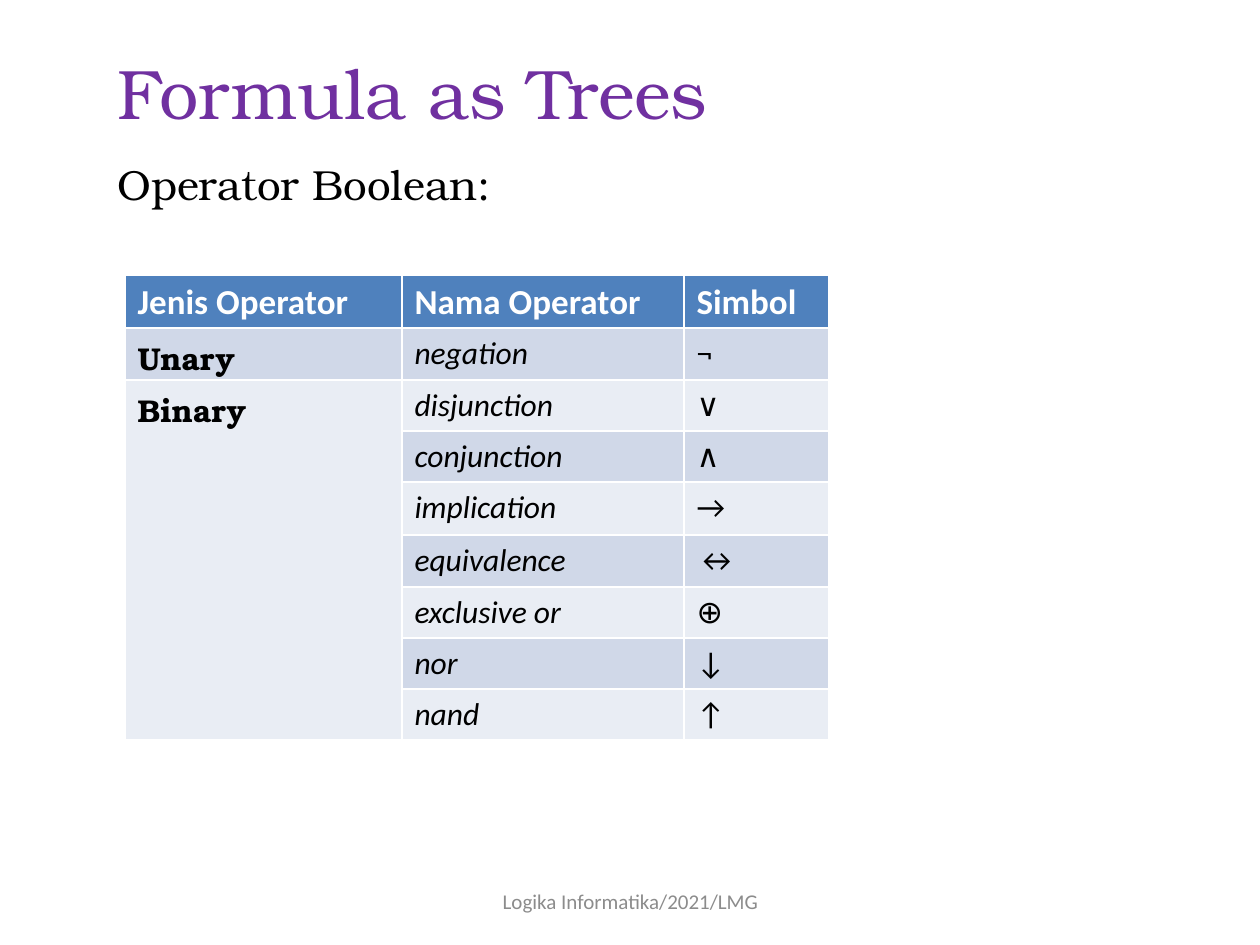
from pptx import Presentation
from pptx.dml.color import RGBColor
from pptx.enum.text import MSO_ANCHOR as Anchor, PP_ALIGN as Align
from pptx.util import Pt

PX = 914400 / 126
SERIF, SANS = "TeX Gyre Bonum", "Calibri"
HEADINGS = ["Jenis Operator", "Nama Operator", "Simbol"]
OPERATORS = [
    ("Unary", [("negation", "¬")]),
    ("Binary", [
        ("disjunction", "∨"),
        ("conjunction", "∧"),
        ("implication", "→"),
        ("equivalence", "↔"),
        ("exclusive or", "⊕"),
        ("nor", "↓"),
        ("nand", "↑"),
    ]),
]
COLUMN_WIDTHS = [277, 282, 145]
ROW_HEIGHTS = [53, 52, 51, 51, 53, 52, 51, 51, 51]
HEADER_FILL = "4F81BD"
BAND_FILLS = ["E9EDF4", "D0D8E8"]


def px(length):
    return round(length * PX)


def color(value):
    return RGBColor.from_string(value)


def write(para, text, font=SANS, size=18, fill="000000", bold=False, italic=False,
          align=Align.LEFT, before=0, spacing=1.0):
    para.alignment, para.space_before, para.line_spacing = align, Pt(before), spacing
    span = para.add_run()
    span.text = text
    span.font.name, span.font.size = font, Pt(size)
    span.font.bold, span.font.italic = bold, italic
    span.font.color.rgb = color(fill)


def add_frame(page, left, top, width, height, anchor=Anchor.TOP):
    box = page.shapes.add_textbox(px(left), px(top), px(width), px(height))
    box.text_frame.word_wrap = True
    box.text_frame.vertical_anchor = anchor
    return box.text_frame


def add_operator_table(page):
    frame = page.shapes.add_table(
        len(ROW_HEIGHTS), len(COLUMN_WIDTHS), px(125), px(275),
        px(sum(COLUMN_WIDTHS)), px(sum(ROW_HEIGHTS)))
    table = frame.table
    for column, width in zip(table.columns, COLUMN_WIDTHS):
        column.width = px(width)
    for index, (row, height) in enumerate(zip(table.rows, ROW_HEIGHTS)):
        row.height = px(height)
        for cell in row.cells:
            cell.margin_bottom = 0
            cell.fill.solid()
            cell.fill.fore_color.rgb = color(BAND_FILLS[index % 2] if index else HEADER_FILL)

    def put(row, column, text, **style):
        write(table.cell(row, column).text_frame.paragraphs[0], text, **style)

    for column, heading in enumerate(HEADINGS):
        put(0, column, heading, size=20, fill="FFFFFF", bold=True)
    row = 1
    for kind, members in OPERATORS:
        put(row, 0, kind, font=SERIF, bold=True)
        if len(members) > 1:
            table.cell(row, 0).merge(table.cell(row + len(members) - 1, 0))
        for name, symbol in members:
            put(row, 1, name, italic=True)
            put(row, 2, symbol)
            row += 1


def main():
    """Build the slide on Boolean operators."""
    deck = Presentation()
    deck.slide_width, deck.slide_height = px(1260), px(945)
    page = deck.slides.add_slide(deck.slide_layouts[6])
    body = add_frame(page, 105, 53, 1012, 848)
    write(body.paragraphs[0], "Formula as Trees", font=SERIF, size=40, fill="7030A0", spacing=0.9)
    write(body.add_paragraph(), "Operator Boolean:", font=SERIF, size=24, before=17, spacing=0.9)
    footer = add_frame(page, 431, 876, 399, 50, Anchor.MIDDLE)
    write(footer.paragraphs[0], "Logika Informatika/2021/LMG", size=12, fill="8C8C8C", align=Align.CENTER)
    add_operator_table(page)
    deck.save("out.pptx")


if __name__ == "__main__":
    main()
